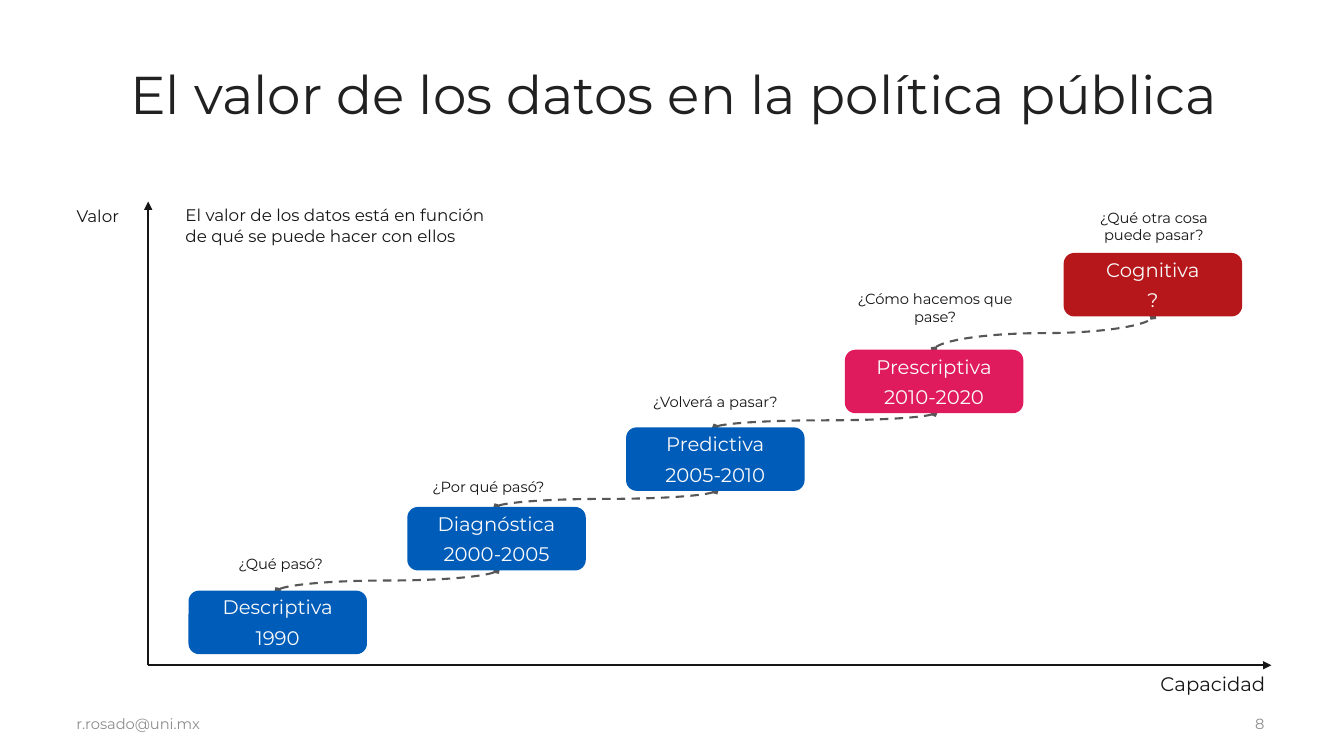
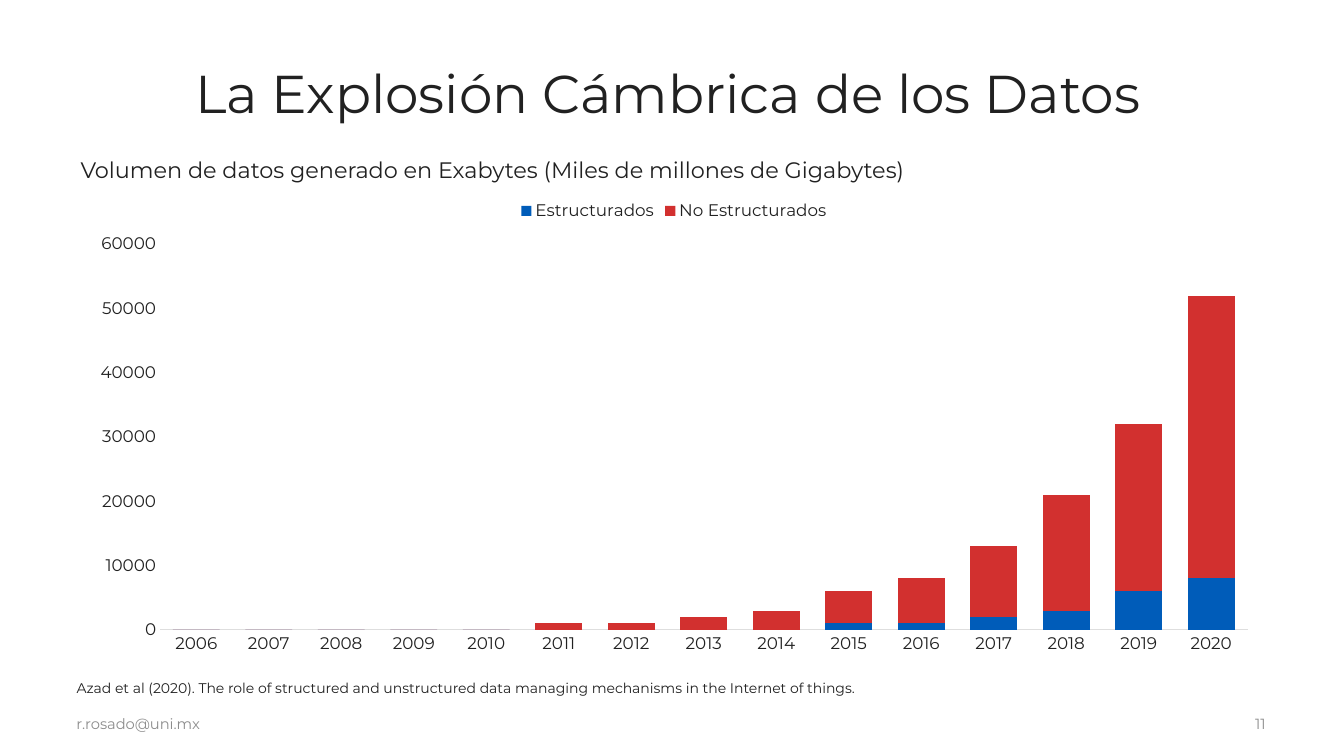
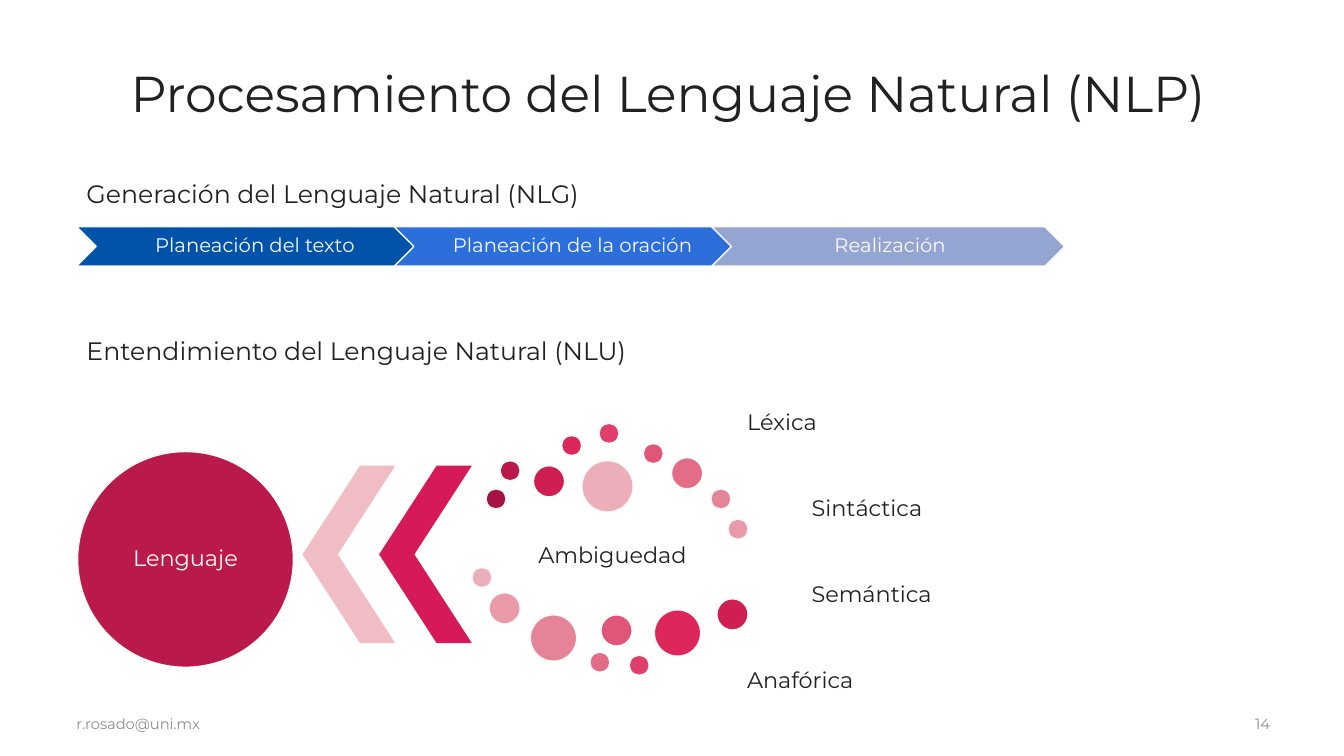
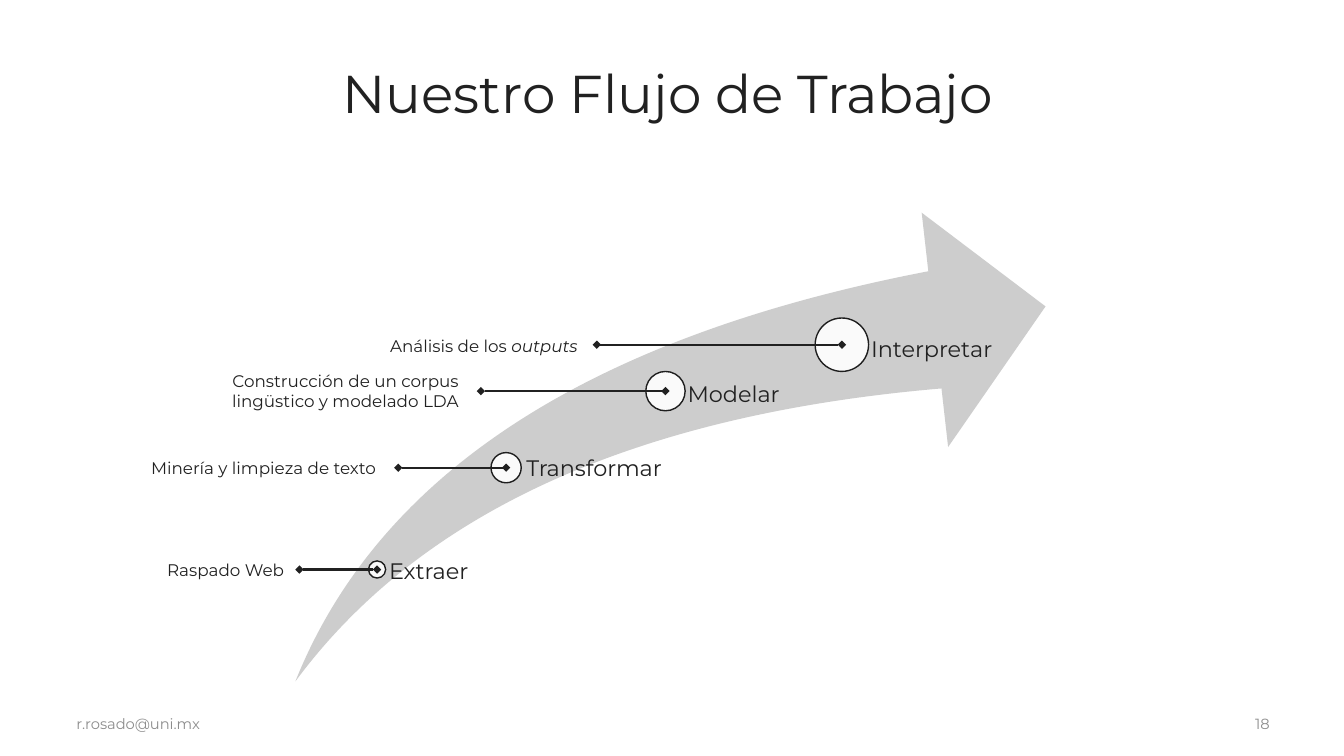
from lxml.etree import SubElement
from pptx import Presentation
from pptx.chart.data import CategoryChartData
from pptx.dml.color import RGBColor
from pptx.enum.chart import XL_CHART_TYPE, XL_LEGEND_POSITION, XL_TICK_MARK
from pptx.enum.dml import MSO_LINE
from pptx.enum.shapes import MSO_CONNECTOR, MSO_SHAPE
from pptx.enum.text import MSO_ANCHOR, MSO_AUTO_SIZE, PP_ALIGN
from pptx.oxml.ns import qn
from pptx.util import Inches, Pt

FONT = "Montserrat"
COLORS = {
    "text": "212121", "ink": "171616", "muted": "8D8D8D", "pale": "FAFAFA",
    "blue": "005CB9", "pink": "E01B5D", "crimson": "B6171A", "red": "D2302F",
    "dash": "575757", "axis": "DEDEDE", "arrow": "CDCDCD", "ring": "1E1E1E",
    "plan": "0053A8", "sentence": "2D6FDA", "output": "95A5D1",
    "language": "BA194C", "near": "D61A59", "far": "F0BDC5",
}
RGB = {name: RGBColor.from_string(value) for name, value in COLORS.items()}
BUBBLE_RAMP = ["A61445", "BA194C", "CE1E52", "DD275A", "DF3F69",
               "E05678", "E36D87", "E58397", "E999A8", "ECAFB9"]
LEFT, CENTER, RIGHT = PP_ALIGN.LEFT, PP_ALIGN.CENTER, PP_ALIGN.RIGHT
TOP, MIDDLE, BOTTOM = MSO_ANCHOR.TOP, MSO_ANCHOR.MIDDLE, MSO_ANCHOR.BOTTOM
DEFAULT_INSETS = (0.1, 0.05, 0.1, 0.05)
NO_INSETS = (0, 0, 0, 0)


def put(slide, box, text="", size=12, color=RGB["text"], align=LEFT, anchor=TOP,
        insets=DEFAULT_INSETS, spacing=None, after=None,
        preset=None, fill=None, edge=None):
    """Place a preset shape, or a text box when preset is None."""
    place = [Inches(length) for length in box]
    if preset is None:
        item = slide.shapes.add_textbox(*place)
    else:
        item = slide.shapes.add_shape(preset, *place)
        item.shadow.inherit = False
        item.fill.solid()
        item.fill.fore_color.rgb = fill
        if edge is None:
            item.line.fill.background()
        else:
            item.line.color.rgb = edge
            item.line.width = Pt(1)
    if text:
        frame = item.text_frame
        frame.text = text
        frame.word_wrap = True
        frame.vertical_anchor = anchor
        (frame.margin_left, frame.margin_top,
         frame.margin_right, frame.margin_bottom) = map(Inches, insets)
        for paragraph in frame.paragraphs:
            paragraph.alignment = align
            paragraph.line_spacing = spacing
            paragraph.space_after = after
            for run in paragraph.runs:
                run.font.name = FONT
                run.font.size = Pt(size)
                run.font.color.rgb = color
    return item


def add_line(slide, start, end, color, head=None, tail=None,
             kind=MSO_CONNECTOR.STRAIGHT, dash=None):
    line = slide.shapes.add_connector(kind, *map(Inches, start + end))
    line.line.color.rgb = color
    line.line.width = Pt(1.5)
    if dash:
        line.line.dash_style = dash
    properties = line._element.spPr
    outline = properties.find(qn("a:ln"))
    for tag, arrowhead in (("a:headEnd", head), ("a:tailEnd", tail)):
        if arrowhead:
            SubElement(outline, qn(tag)).set("type", arrowhead)
    SubElement(properties, qn("a:effectLst"))
    return line


prs = Presentation()
prs.slide_width, prs.slide_height = Inches(13.33), Inches(7.5)

# Titles and footers
slides = []
for title_text, number, size, left, top in [
    ("El valor de los datos en la política pública", 8, 38, 0.76, 0.53),
    ("La Explosión Cámbrica de los Datos", 11, 38, 0.64, 0.51),
    ("Procesamiento del Lenguaje Natural (NLP)", 14, 36, 0.64, 0.51),
    ("Nuestro Flujo de Trabajo", 18, 38, 0.64, 0.51),
]:
    slide = prs.slides.add_slide(prs.slide_layouts[5])
    title = slide.shapes.title
    title.left, title.top = Inches(left), Inches(top)
    title.width, title.height = Inches(12.61 - left), Inches(1.4 - top)
    title.text_frame.text = title_text
    title.text_frame.auto_size = MSO_AUTO_SIZE.NONE
    title.text_frame.vertical_anchor = MIDDLE
    heading = title.text_frame.paragraphs[0]
    heading.alignment = CENTER
    heading.line_spacing = 0.9
    heading_font = heading.runs[0].font
    heading_font.name, heading_font.size = FONT, Pt(size)
    heading_font.color.rgb = RGB["text"]
    for footer, footer_left, footer_width in [("r.rosado@uni.mx", 0.66, 7.74),
                                              (str(number), 12.35, 0.5)]:
        put(slide, (footer_left, 6.86, footer_width, 0.64), footer, 10.5,
            RGB["muted"], anchor=MIDDLE)
    slides.append(slide)
value_slide, growth_slide, language_slide, workflow_slide = slides

# Value of data: a staircase of analytics stages
CARD_W, CARD_H, CARD_STEP = 1.77, 0.63, 2.17
stages = [
    ("Descriptiva\n1990", 5.86, "blue", "¿Qué pasó?", 1.9, 5.45),
    ("Diagnóstica\n2000-2005", 5.03, "blue", "¿Por qué pasó?", 3.96, 4.69),
    ("Predictiva\n2005-2010", 4.24, "blue", "¿Volverá a pasar?", 6.21, 3.85),
    ("Prescriptiva\n2010-2020", 3.47, "pink", "¿Cómo hacemos que pase?", 8.39, 2.83),
    ("Cognitiva\n?", 2.51, "crimson", "¿Qué otra cosa puede pasar?", 10.56, 2.02),
]
for index in range(len(stages) - 1):
    start_y, end_y = stages[index][1], stages[index + 1][1] + CARD_H
    center_x = 1.87 + CARD_W / 2 + (index + 0.5) * CARD_STEP
    center_y = (start_y + end_y) / 2
    half_rise, half_run = (start_y - end_y) / 2, CARD_STEP / 2
    # Drawn upright, then turned 90 degrees so that the ends leave vertically
    curve = add_line(value_slide,
                     (center_x + half_rise, center_y + half_run),
                     (center_x - half_rise, center_y - half_run),
                     RGB["dash"], "diamond", "diamond",
                     MSO_CONNECTOR.CURVE, MSO_LINE.DASH)
    curve._element.spPr.find(qn("a:xfrm")).set("rot", "5400000")

for axis_end in [(1.47, 2), (12.61, 6.6)]:
    add_line(value_slide, (1.47, 6.6), axis_end, RGB["ink"], tail="triangle")
put(value_slide, (0.76, 2.04, 0.6, 0.2), "Valor", color=RGB["ink"], insets=NO_INSETS)
put(value_slide, (11.2, 6.67, 1.35, 0.24), "Capacidad", 14, RGB["ink"], RIGHT,
    insets=NO_INSETS)
put(value_slide, (1.74, 1.84, 3.31, 0.79),
    "El valor de los datos está en función de qué se puede hacer con ellos",
    color=RGB["ink"], anchor=MIDDLE, insets=(0.1, 0, 0, 0))

for index, (stage, top, color, question, question_left, question_top) in enumerate(stages):
    put(value_slide, (1.87 + index * CARD_STEP, top, CARD_W, CARD_H), stage, 14,
        RGB["pale"], CENTER, MIDDLE, NO_INSETS, after=Pt(4.9),
        preset=MSO_SHAPE.ROUNDED_RECTANGLE, fill=RGB[color])
    put(value_slide, (question_left, question_top, CARD_W, 0.29), question, 10.5,
        RGB["ink"], CENTER)

# Growth of data: stacked columns
volumes = CategoryChartData()
volumes.categories = [str(year) for year in range(2006, 2021)]
volumes.add_series("Estructurados",
                   [0] * 9 + [1000, 1000, 2000, 3000, 6000, 8000])
volumes.add_series("No Estructurados",
                   [0] * 5 + [1000, 1000, 2000, 3000, 5000, 7000,
                              11000, 18000, 26000, 44000])
chart = growth_slide.shapes.add_chart(
    XL_CHART_TYPE.COLUMN_STACKED, Inches(0.76), Inches(1.88),
    Inches(11.85), Inches(4.7), volumes).chart
chart.has_title = False
chart.has_legend = True
chart.legend.position = XL_LEGEND_POSITION.TOP
chart.legend.include_in_layout = False
years, exabytes = chart.category_axis, chart.value_axis
for part in (chart, chart.legend, years.tick_labels, exabytes.tick_labels):
    part.font.name = FONT
    part.font.size = Pt(12)
    part.font.color.rgb = RGB["text"]
for axis in (years, exabytes):
    axis.major_tick_mark = axis.minor_tick_mark = XL_TICK_MARK.NONE
    axis.has_major_gridlines = False
years.format.line.color.rgb = RGB["axis"]
years.format.line.width = Pt(0.75)
exabytes.format.line.fill.background()
exabytes.minimum_scale, exabytes.maximum_scale = 0, 60000
exabytes.major_unit = 10000
columns = chart.plots[0]
columns.vary_by_categories = False
columns.gap_width, columns.overlap = 55, 100
for series, color in zip(columns.series, ("blue", "red")):
    series.format.fill.solid()
    series.format.fill.fore_color.rgb = RGB[color]

put(growth_slide, (0.7, 1.5, 8.92, 0.37),
    "Volumen de datos generado en Exabytes (Miles de millones de Gigabytes)", 16)
put(growth_slide, (0.76, 6.66, 11.27, 0.25),
    "Azad et al (2020). The role of structured and unstructured data managing "
    "mechanisms in the Internet of things.", 10,
    anchor=BOTTOM, insets=NO_INSETS, spacing=1.1)

# Natural language: generation steps above, understanding below
for section, top in [("Generación del Lenguaje Natural (NLG)", 1.72),
                     ("Entendimiento del Lenguaje Natural (NLU)", 3.28)]:
    put(language_slide, (0.76, top, 6, 0.4), section, 18)
for index, (step, color) in enumerate([("Planeación del texto", "plan"),
                                       ("Planeación de la oración", "sentence"),
                                       ("Realización", "output")]):
    put(language_slide, (0.76 + index * 3.15, 2.25, 3.5, 0.39), step, 14,
        RGB["pale"], CENTER, MIDDLE, (0.06, 0.02, 0.02, 0.02), 0.9,
        preset=MSO_SHAPE.CHEVRON, fill=RGB[color], edge=RGB["pale"])

put(language_slide, (4.82, 5.1, 2.51, 0.83), "Ambiguedad", 16, align=CENTER,
    anchor=MIDDLE, insets=NO_INSETS, spacing=0.9)
upper_bubbles = [
    (4.82, 4.85, 0.2), (4.96, 4.57, 0.2), (5.29, 4.62, 0.31), (5.57, 4.32, 0.2),
    (5.94, 4.2, 0.2), (6.38, 4.4, 0.2), (6.66, 4.54, 0.31), (7.05, 4.85, 0.2),
    (7.22, 5.15, 0.2), (5.77, 4.57, 0.51),
]
lower_bubbles = [
    (4.68, 5.63, 0.2), (4.85, 5.88, 0.31), (5.26, 6.1, 0.46), (5.85, 6.47, 0.2),
    (5.96, 6.1, 0.31), (6.24, 6.5, 0.2), (6.49, 6.05, 0.46), (7.11, 5.94, 0.31),
]
for bubbles, ramp in [(upper_bubbles, BUBBLE_RAMP), (lower_bubbles, BUBBLE_RAMP[::-1])]:
    for (left, top, diameter), color in zip(bubbles, ramp):
        put(language_slide, (left, top, diameter, diameter), preset=MSO_SHAPE.OVAL,
            fill=RGBColor.from_string(color), edge=RGB["pale"])
for left, color in [(3.76, "near"), (3, "far")]:
    chevron = put(language_slide, (left, 4.62, 0.92, 1.76),
                  preset=MSO_SHAPE.CHEVRON, fill=RGB[color])
    chevron.adjustments[0] = 0.62
    chevron.rotation = 180
put(language_slide, (0.77, 4.48, 2.14, 2.14), "Lenguaje", 16, RGB["pale"], CENTER,
    MIDDLE, NO_INSETS, 0.9, preset=MSO_SHAPE.OVAL, fill=RGB["language"],
    edge=RGB["pale"])
for index, (ambiguity, left) in enumerate([("Léxica", 7.41), ("Sintáctica", 8.05),
                                           ("Semántica", 8.05), ("Anafórica", 7.41)]):
    put(language_slide, (left, 4 + index * 0.853, 2.9, 0.37), ambiguity, 16,
        insets=(0, 0.05, 0, 0.05))

# Workflow: four milestones along a rising arrow
swoosh = put(workflow_slide, (2.93, 2.11, 7.44, 4.65),
             preset=MSO_SHAPE.SWOOSH_ARROW, fill=RGB["arrow"])
swoosh.adjustments[0] = swoosh.adjustments[1] = 0.25
milestones = [
    # name, name left and top, centre x and y, diameter, start of the line
    ("Extraer", 3.86, 5.56, 3.74, 5.65, 0.17, 2.97),
    ("Transformar", 5.22, 4.54, 5.02, 4.64, 0.3, 3.95),
    ("Modelar", 6.82, 3.8, 6.6, 3.88, 0.39, 4.77),
    ("Interpretar", 8.64, 3.36, 8.35, 3.42, 0.53, 5.92),
]
for name, name_left, name_top, x, y, diameter, line_start in milestones:
    put(workflow_slide, (x - diameter / 2, y - diameter / 2, diameter, diameter),
        preset=MSO_SHAPE.OVAL, fill=RGB["pale"], edge=RGB["ring"])
    put(workflow_slide, (name_left, name_top, 1.56, 0.3), name, 16,
        insets=NO_INSETS, spacing=0.9)
    add_line(workflow_slide, (line_start, y), (x, y), RGB["text"], "diamond", "diamond")

for detail, left, top, width, align in [
    ("Raspado Web", 1.56, 5.5, 1.5, LEFT),
    ("Minería y limpieza de texto", 1.4, 4.49, 2.6, LEFT),
    ("Construcción de un corpus lingüstico y modelado LDA", 1.56, 3.63, 3.09, RIGHT),
]:
    put(workflow_slide, (left, top, width, 0.3), detail, align=align)
analysis = put(workflow_slide, (3.77, 3.28, 2.2, 0.3), "Análisis de los ")
emphasis = analysis.text_frame.paragraphs[0].add_run()
emphasis.text = "outputs"
emphasis.font.name, emphasis.font.size = FONT, Pt(12)
emphasis.font.italic = True
emphasis.font.color.rgb = RGB["text"]

prs.save("out.pptx")
